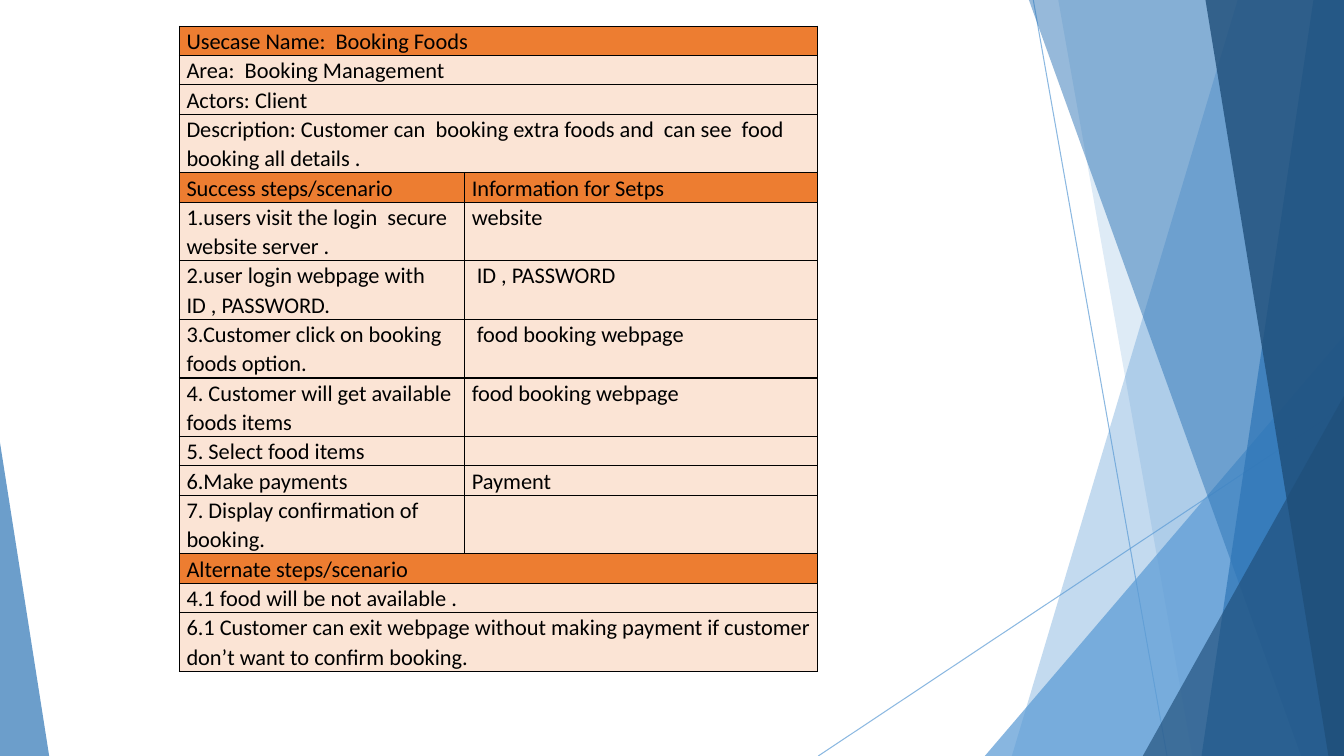
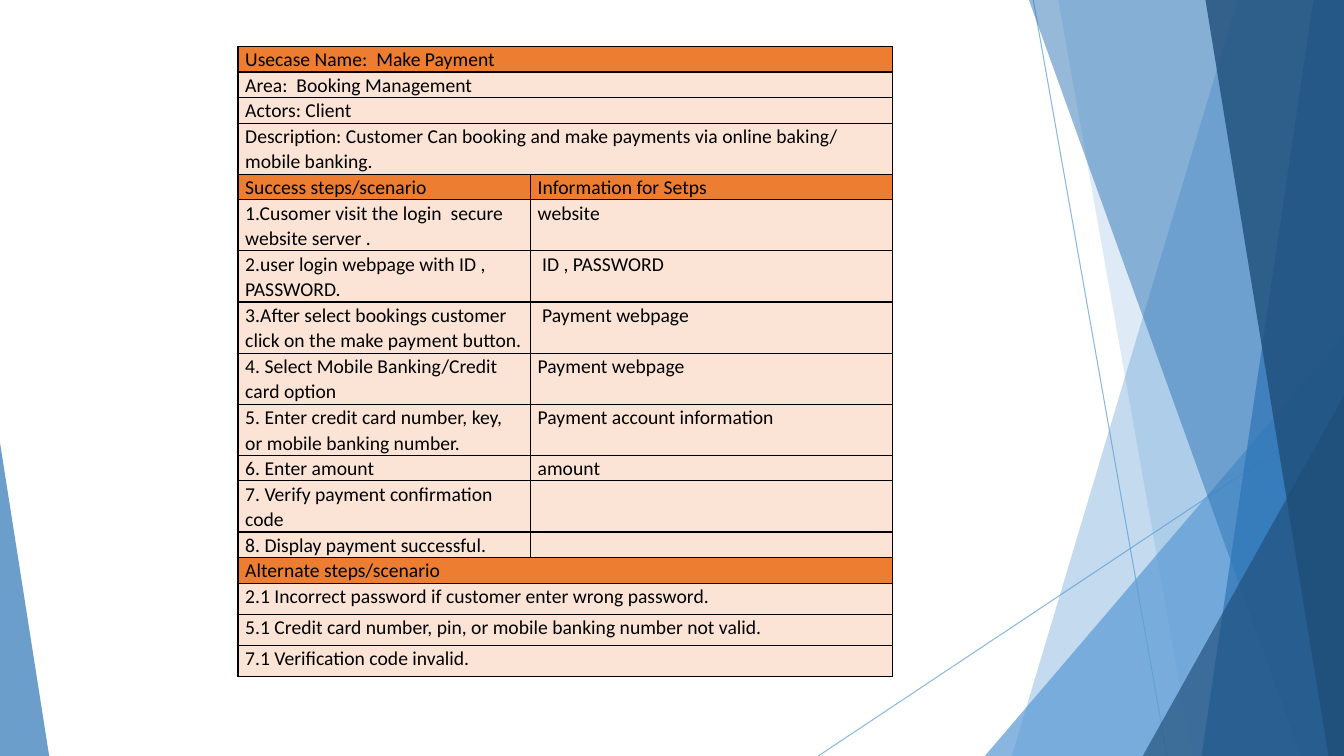
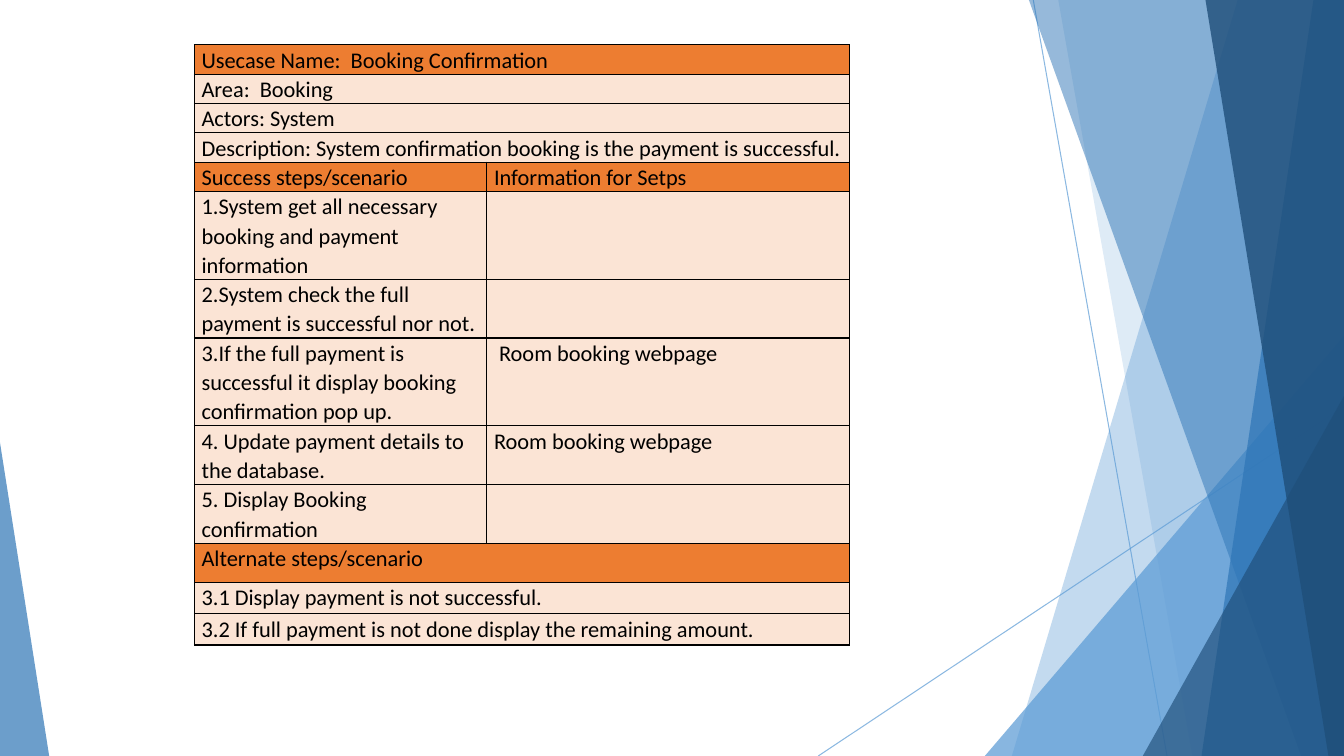
from lxml.etree import SubElement
from pptx import Presentation
from pptx.dml.color import RGBColor
from pptx.enum.shapes import MSO_CONNECTOR, MSO_SHAPE
from pptx.oxml.ns import qn
from pptx.util import Cm, Pt

COLORS = {
    "sky": "5B9BD5",
    "blue": "2E75B6",
    "navy": "1F4E79",
    "header": "ED7D31",
    "body": "FBE4D5",
    "text": "000000",
}
FONT = "Calibri"
WIDTH, HEIGHT = 33.87, 19.05
HEADINGS = ("Usecase Name", "Success steps", "Alternate steps")
STEPS = ("Success steps/scenario", "Information for Setps")
ALTERNATES = "Alternate steps/scenario"

# Each row: line count, then one text for a full-width row or two for a split row
FOODS = [
    (1, "Usecase Name:  Booking Foods"),
    (1, "Area:  Booking Management"),
    (1, "Actors: Client"),
    (2, "Description: Customer can  booking extra foods and  can see  food booking all details ."),
    (1, *STEPS),
    (2, "1.users visit the login  secure website server .", "website"),
    (2, "2.user login webpage with ID , PASSWORD.", " ID , PASSWORD"),
    (2, "3.Customer click on booking foods option.", " food booking webpage"),
    (2, "4. Customer will get available foods items", "food booking webpage"),
    (1, "5. Select food items", ""),
    (1, "6.Make payments", "Payment"),
    (2, "7. Display confirmation of booking.", ""),
    (1, ALTERNATES),
    (1, "4.1 food will be not available ."),
    (2, "6.1 Customer can exit webpage without making payment if customer don’t want to confirm booking."),
]
PAYMENT = [
    (1, "Usecase Name:  Make Payment"),
    (1, "Area:  Booking Management"),
    (1, "Actors: Client"),
    (2, "Description: Customer Can booking and make payments via online baking/ mobile banking."),
    (1, *STEPS),
    (2, "1.Cusomer visit the login  secure website server .", "website"),
    (2, "2.user login webpage with ID , PASSWORD.", " ID , PASSWORD"),
    (2, "3.After select bookings customer click on the make payment button.", " Payment webpage"),
    (2, "4. Select Mobile Banking/Credit card option", "Payment webpage"),
    (2, "5. Enter credit card number, key, or mobile banking number.", "Payment account information"),
    (1, "6. Enter amount", "amount"),
    (2, "7. Verify payment confirmation code", ""),
    (1, "8. Display payment successful.", ""),
    (1, ALTERNATES),
    (1.22, "2.1 Incorrect password if customer enter wrong password."),
    (1.22, "5.1 Credit card number, pin, or mobile banking number not valid."),
    (1.22, "7.1 Verification code invalid."),
]
CONFIRMATION = [
    (1, "Usecase Name:  Booking Confirmation"),
    (1, "Area:  Booking"),
    (1, "Actors: System"),
    (1, "Description: System confirmation booking is the payment is successful."),
    (1, *STEPS),
    (3, "1.System get all necessary booking and payment information", ""),
    (2, "2.System check the full payment is successful nor not.", ""),
    (3, "3.If the full payment is successful it display booking confirmation pop up.", " Room booking webpage"),
    (2, "4. Update payment details to the database.", "Room booking webpage"),
    (2, "5. Display Booking confirmation", ""),
    (1.35, ALTERNATES),
    (1.07, "3.1 Display payment is not successful."),
    (1.07, "3.2 If full payment is not done display the remaining amount."),
]


def rgb(name):
    return RGBColor.from_string(COLORS[name])


def set_alpha(sp, percent):
    for clr in sp.element.iter(qn("a:srgbClr")):
        SubElement(clr, qn("a:alpha"), val=str(percent * 1000))


def paint(sp, color, alpha):
    sp.shadow.inherit = False
    sp.fill.solid()
    sp.fill.fore_color.rgb = rgb(color)
    sp.line.fill.background()
    set_alpha(sp, alpha)


def add_band(s, top_x, bottom_x, color, alpha):
    builder = s.shapes.build_freeform(Cm(top_x), Cm(0))
    corners = [(WIDTH, 0), (WIDTH, HEIGHT), (bottom_x, HEIGHT)]
    builder.add_line_segments([(Cm(x), Cm(y)) for x, y in corners])
    paint(builder.convert_to_shape(), color, alpha)


def add_corner(s, x, y, width, apex, color, alpha):
    sp = s.shapes.add_shape(MSO_SHAPE.ISOSCELES_TRIANGLE, Cm(x), Cm(y), Cm(width), Cm(HEIGHT - y))
    sp.adjustments[0] = apex
    paint(sp, color, alpha)


def add_line(s, x1, y1, x2, y2):
    line = s.shapes.add_connector(MSO_CONNECTOR.STRAIGHT, Cm(x1), Cm(y1), Cm(x2), Cm(y2))
    line.line.color.rgb = rgb("sky")
    line.line.width = Pt(0.75)
    set_alpha(line, 70)
    SubElement(line.element.spPr, qn("a:effectLst"))


def draw_facets(s):
    add_line(s, 26.04, 0, 29.41, HEIGHT)
    add_line(s, WIDTH, 10.24, 20.62, HEIGHT)
    add_band(s, 31.19, 25.5, "sky", 36)
    add_band(s, 26.67, 30.05, "sky", 20)
    add_corner(s, 24.82, 8.46, 9.05, 1, "sky", 72)
    add_band(s, 25.93, 32.79, "blue", 50)
    add_band(s, 33.1, 30.28, "blue", 70)
    add_band(s, 30.38, 33.48, "navy", 80)
    add_corner(s, 28.8, 9.98, 5.07, 1, "navy", 66)
    add_corner(s, 0, 11.15, 1.24, 0, "blue", 70)


def move_to_layout(s):
    layout = s.slide_layout
    for sp in list(layout.placeholders):
        layout.shapes.element.remove(sp.element)
    for sp in list(s.shapes):
        layout.shapes.element.append(sp.element)


def write(tf, text, size=16, color="text", spacing=1.07):
    tf.word_wrap = True
    p = tf.paragraphs[0]
    p.line_spacing = spacing
    if not text:
        SubElement(p._p, qn("a:endParaRPr"), sz=str(size * 100))
        return
    r = p.add_run()
    r.text = text
    r.font.name = FONT
    r.font.size = Pt(size)
    r.font.color.rgb = rgb(color)


def format_cell(cell, fill):
    cell.margin_left = cell.margin_right = Cm(0.18)
    cell.margin_top = cell.margin_bottom = 0
    tc_pr = cell._tc.get_or_add_tcPr()
    for side in ("lnL", "lnR", "lnT", "lnB"):
        ln = SubElement(tc_pr, qn(f"a:{side}"), w=str(Pt(1)))
        SubElement(SubElement(ln, qn("a:solidFill")), qn("a:srgbClr"), val=COLORS["text"])
    cell.fill.solid()
    cell.fill.fore_color.rgb = rgb(fill)


def add_usecase(s, rows, x, y, widths, size):
    line_height = 0.046 * size
    height = line_height * sum(row[0] for row in rows)
    frame = s.shapes.add_table(len(rows), 2, Cm(x), Cm(y), Cm(sum(widths)), Cm(height))
    table = frame.table
    table.first_row = table.horz_banding = False
    for col, width in zip(table.columns, widths):
        col.width = Cm(width)
    for i, (lines, *texts) in enumerate(rows):
        table.rows[i].height = Cm(lines * line_height)
        fill = "header" if texts[0].startswith(HEADINGS) else "body"
        for j in range(2):
            format_cell(table.cell(i, j), fill)
        if len(texts) == 1:
            table.cell(i, 0).merge(table.cell(i, 1))
        for j, text in enumerate(texts):
            write(table.cell(i, j).text_frame, text, size=size)


def main():
    prs = Presentation()
    prs.slide_width, prs.slide_height = Cm(WIDTH), Cm(HEIGHT)
    blank = prs.slide_layouts[6]
    foods, payment, confirmation = [prs.slides.add_slide(blank) for _ in range(3)]
    draw_facets(foods)
    move_to_layout(foods)
    add_usecase(foods, FOODS, 4.52, 0.66, (7.19, 8.9), 16)
    add_usecase(payment, PAYMENT, 6, 1.17, (7.37, 9.13), 14)
    add_usecase(confirmation, CONFIRMATION, 4.9, 1.13, (7.37, 9.13), 16)
    prs.save("out.pptx")


if __name__ == "__main__":
    main()
